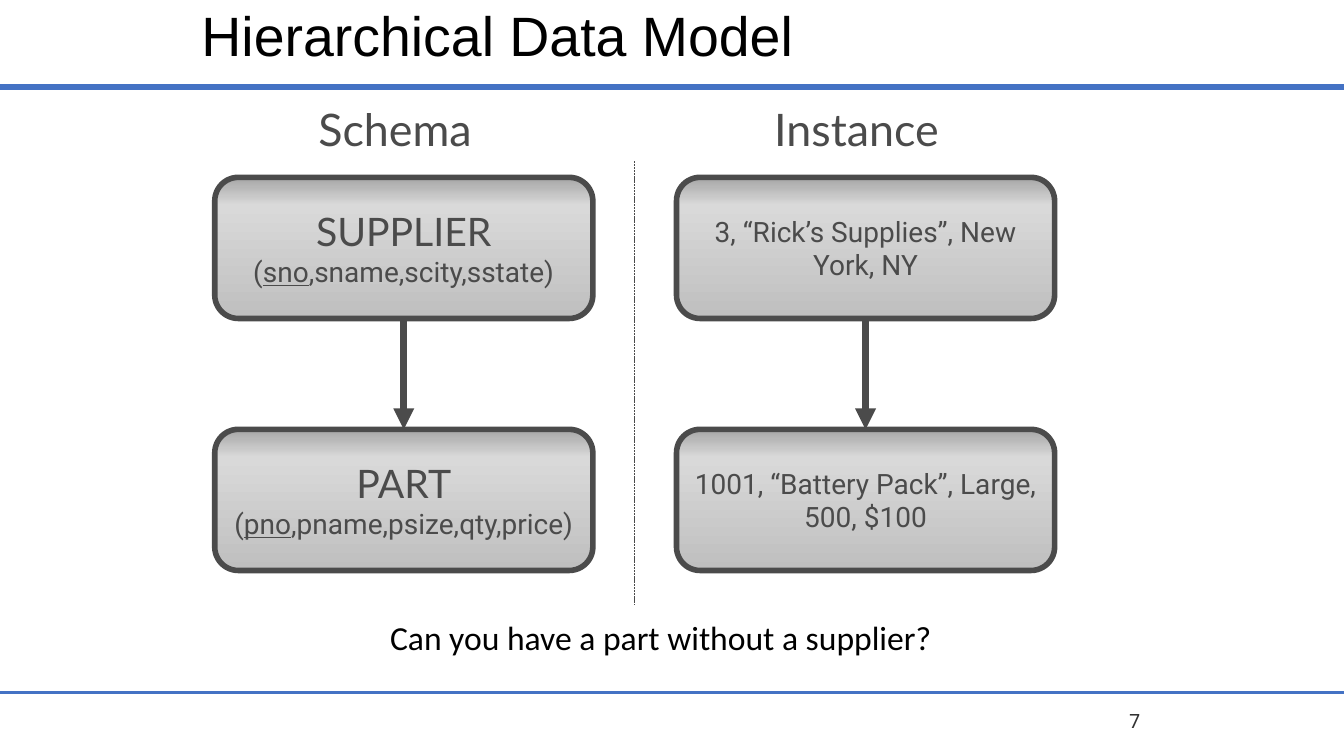
from copy import deepcopy
from dataclasses import dataclass

from pptx import Presentation
from pptx.dml.color import RGBColor
from pptx.enum import dml, shapes, text
from pptx.oxml.ns import qn
from pptx.oxml.xmlchemy import OxmlElement
from pptx.util import Inches, Pt


@dataclass(frozen=True)
class Theme:
    accent: str = "4472C4"
    ink: str = "4B4B4B"
    black: str = "000000"
    number: str = "323232"
    gradient: tuple = ((0, "A6A6A6"), (0.2, "D9D9D9"), (1, "BFBFBF"))
    title_size: float = 39.6
    heading_size: float = 32
    record_size: float = 28
    question_size: float = 24
    field_size: float = 20
    number_size: float = 14


def set_all(target, **values):
    for name, value in values.items():
        setattr(target, name, value)


class SlideBuilder:
    def __init__(self, slide, theme):
        self.slide = slide
        self.theme = theme

    def add_runs(self, paragraph, runs, size, font, color):
        """Add runs given as (words, underlined) pairs."""
        for words, underlined in runs:
            run = paragraph.add_run()
            run.text = words
            set_all(run.font, size=Pt(size), name=font, underline=underlined)
            run.font.color.rgb = RGBColor.from_string(color)

    def label(self, words, box, size, font, color, paragraph_format=None, **frame_format):
        shape = self.slide.shapes.add_textbox(*map(Inches, box))
        set_all(shape.text_frame, **frame_format)
        paragraph = shape.text_frame.paragraphs[0]
        set_all(paragraph, **(paragraph_format or {}))
        self.add_runs(paragraph, [(words, None)], size, font, color)

    def line(self, start, end, color, width, dash=None, arrow=False, container=None):
        parent = (container or self.slide).shapes
        connector = parent.add_connector(
            shapes.MSO_CONNECTOR.STRAIGHT, *map(Inches, (*start, *end)))
        set_all(connector.line, width=Pt(width), dash_style=dash)
        connector.line.color.rgb = RGBColor.from_string(color)
        if arrow:
            tail = OxmlElement("a:tailEnd")
            tail.set("type", "triangle")
            connector.line._get_or_add_ln().append(tail)
        connector._element.spPr.append(OxmlElement("a:effectLst"))
        return connector

    def shade(self, fill):
        """Apply the theme's three-stop gradient, running from top to bottom."""
        fill.gradient()
        fill.gradient_angle = 270
        stops = fill._xPr.find(qn("a:gradFill")).find(qn("a:gsLst"))
        stops.append(deepcopy(stops[-1]))
        for stop, (position, color) in zip(fill.gradient_stops, self.theme.gradient):
            stop.position = position
            stop.color.rgb = RGBColor.from_string(color)

    def record(self, group, box, paragraphs):
        """Add a rounded box; each paragraph is (runs, size, font)."""
        shape = group.shapes.add_shape(
            shapes.MSO_SHAPE.ROUNDED_RECTANGLE, *map(Inches, box))
        shape.shadow.inherit = False
        self.shade(shape.fill)
        shape.line.color.rgb = RGBColor.from_string(self.theme.ink)
        shape.line.width = Pt(4)
        frame = shape.text_frame
        set_all(frame, word_wrap=True, vertical_anchor=text.MSO_ANCHOR.MIDDLE)
        for side in ("left", "top", "right", "bottom"):
            setattr(frame, f"margin_{side}", Inches(0.05))
        for index, (runs, size, font) in enumerate(paragraphs):
            paragraph = frame.add_paragraph() if index else frame.paragraphs[0]
            paragraph.alignment = text.PP_ALIGN.CENTER
            self.add_runs(paragraph, runs, size, font, self.theme.ink)
        return shape

    def hierarchy(self, left, parent, child):
        """Group a parent box, a child box below it and the arrow between them."""
        top, step, width, height = 1.76, 2.5, 3.75, 1.4
        group = self.slide.shapes.add_group_shape()
        upper, lower = [
            self.record(group, (left, top + row * step, width, height), paragraphs)
            for row, paragraphs in enumerate((parent, child))]
        middle = left + width / 2
        arrow = self.line((middle, top + height), (middle, top + step),
                          self.theme.ink, 5, arrow=True, container=group)
        arrow.begin_connect(upper, 2)
        arrow.end_connect(lower, 0)


def main():
    presentation = Presentation()
    set_all(presentation, slide_width=Inches(13.33), slide_height=Inches(7.5))
    slide = presentation.slides.add_slide(presentation.slide_layouts[6])
    theme = Theme()
    builder = SlideBuilder(slide, theme)

    for y, width in ((0.86, 4.5), (6.87, 1.5)):
        builder.line((0, y), (13.33, y), theme.accent, width)
    middle = {"word_wrap": True, "vertical_anchor": text.MSO_ANCHOR.MIDDLE}
    builder.label("Hierarchical Data Model", (1.9, 0, 9.83, 0.76), theme.title_size,
                  "Arial", theme.black, {"line_spacing": 0.9}, **middle)
    builder.label("7", (9.08, 6.95, 2.33, 0.4), theme.number_size, "Noto Sans",
                  theme.number, {"alignment": text.PP_ALIGN.RIGHT}, **middle)

    def schema(name, key, fields):
        return [([(name, None)], theme.record_size, "Lato"),
                ([("(", None), (key, True), (fields, None)], theme.field_size, "Roboto")]

    def instance(values):
        return [([(values, None)], theme.field_size, "Roboto")]

    builder.hierarchy(2.13, schema("SUPPLIER", "sno", ",sname,scity,sstate)"),
                      schema("PART", "pno", ",pname,psize,qty,price)"))
    builder.hierarchy(6.71, instance("3, “Rick’s Supplies”, New York, NY"),
                      instance("1001, “Battery Pack”, Large, 500, $100"))
    builder.line((6.29, 1.6), (6.29, 6), theme.ink, 0.5, dash=dml.MSO_LINE.SQUARE_DOT)

    fitted = {"word_wrap": False, "auto_size": text.MSO_AUTO_SIZE.SHAPE_TO_FIT_TEXT}
    for heading, left, width in (("Schema", 3.06, 1.85), ("Instance", 7.58, 2.38)):
        builder.label(heading, (left, 0.96, width, 0.64), theme.heading_size,
                      "Lato", theme.ink, **fitted)
    builder.label("Can you have a part without a supplier?", (3.77, 6.07, 5.64, 0.5),
                  theme.question_size, "Calibri", theme.black, **fitted)

    presentation.save("out.pptx")


if __name__ == "__main__":
    main()
